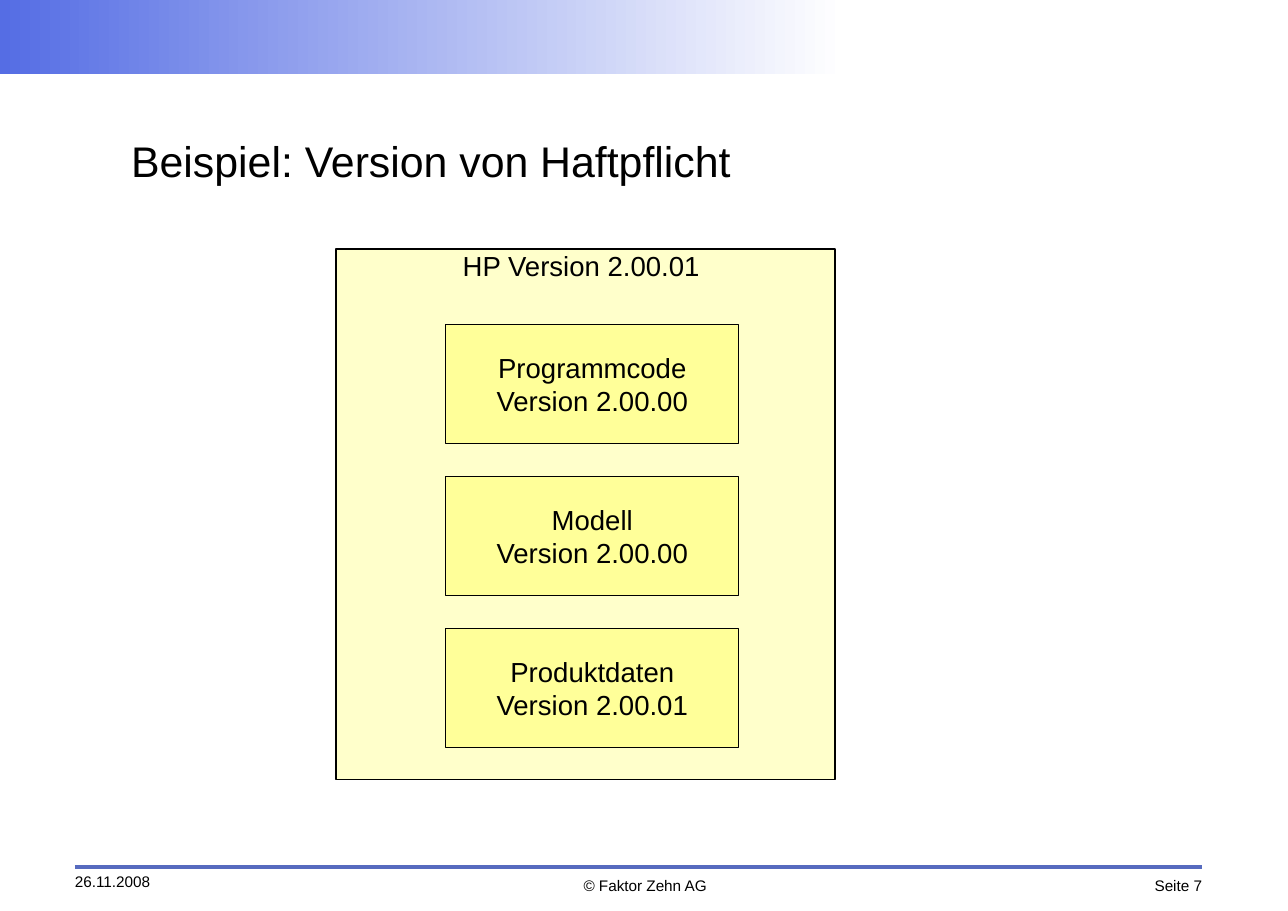
from dataclasses import dataclass

from lxml.etree import SubElement
from pptx import Presentation
from pptx.dml.color import RGBColor
from pptx.enum.shapes import MSO_CONNECTOR, MSO_SHAPE
from pptx.enum.text import MSO_ANCHOR, PP_ALIGN
from pptx.oxml.ns import qn
from pptx.util import Inches, Pt


@dataclass(frozen=True)
class Theme:
    font: str = "Arial"
    black: str = "000000"
    white: str = "FFFFFF"
    yellow: str = "FFFF99"
    band: str = "556DE4"
    rule: str = "576BBF"
    title: int = 28
    body: int = 18
    small: int = 10


T = Theme()
W, H = 11.69, 8.27


def rgb(value):
    return RGBColor.from_string(value)


def write(sp, lines, size, align=PP_ALIGN.LEFT, anchor=MSO_ANCHOR.TOP, right=0):
    tf = sp.text_frame
    tf.word_wrap = True
    tf.vertical_anchor = anchor
    tf.margin_left = tf.margin_top = tf.margin_bottom = 0
    tf.margin_right = Inches(right)
    for i, line in enumerate(lines):
        p = tf.add_paragraph() if i else tf.paragraphs[0]
        p.alignment = align
        r = p.add_run()
        r.text = line
        r.font.name, r.font.size = T.font, Pt(size)
        r.font.color.rgb = rgb(T.black)


def add_text(s, box, line, size, **layout):
    sp = s.shapes.add_textbox(*map(Inches, box))
    write(sp, [line], size, **layout)


def add_rect(s, box):
    sp = s.shapes.add_shape(MSO_SHAPE.RECTANGLE, *map(Inches, box))
    sp.shadow.inherit = False
    return sp


def add_block(s, box, opacity=100):
    sp = add_rect(s, box)
    sp.fill.solid()
    sp.fill.fore_color.rgb = rgb(T.yellow)
    if opacity < 100:
        color = sp.fill._xPr.find(qn("a:solidFill"))[0]
        SubElement(color, qn("a:alpha"), val=str(opacity * 1000))
    sp.line.color.rgb = rgb(T.black)
    sp.line.width = Pt(0)
    return sp


def add_header(s, box):
    x, y, w, h = box
    # Fading band
    sp = add_rect(s, (x, y, w * 0.656, h * 0.34))
    sp.line.fill.background()
    sp.fill.gradient()
    sp.fill.gradient_angle = 0
    for stop, color in zip(sp.fill.gradient_stops, (T.band, T.white)):
        stop.color.rgb = rgb(color)
    # Title
    add_text(s, (x + 1.19, y + 0.95, 9.31, h - 0.95),
             "Beispiel: Version von Haftpflicht", T.title, anchor=MSO_ANCHOR.MIDDLE)


def add_footer(s, box):
    x, y, w, h = box
    # Rule
    line = s.shapes.add_connector(
        MSO_CONNECTOR.STRAIGHT, *map(Inches, (x, y, x + w, y)))
    line.line.color.rgb = rgb(T.rule)
    line.line.width = Pt(2.83)
    SubElement(line._element.spPr, qn("a:effectLst"))
    # Date, copyright and page number
    third = w / 3
    for col, text, align, drop in (
            (0, "26.11.2008", PP_ALIGN.LEFT, 0.05),
            (1, "© Faktor Zehn AG", PP_ALIGN.CENTER, 0.08),
            (2, "Seite 7", PP_ALIGN.RIGHT, 0.08)):
        # The copyright stands slightly right of the middle
        shift = 0.06 if col == 1 else 0
        add_text(s, (x + col * third + shift, y + drop, third, h - drop),
                 text, T.small, align=align)


def add_version(s, box, name, parts):
    x, y, w, h = box
    # Enclosing product version
    write(add_block(s, box, opacity=50), [name], T.body,
          align=PP_ALIGN.CENTER, right=0.08)
    # Parts start on every second row
    row = h / (2 * len(parts) + 1)
    for i, part in enumerate(parts):
        sp = add_block(s, (x + w * 0.22, y + (2 * i + 1) * row, w * 0.587, row * 1.57))
        write(sp, part, T.body, align=PP_ALIGN.CENTER, anchor=MSO_ANCHOR.MIDDLE)


def main():
    prs = Presentation()
    prs.slide_width, prs.slide_height = Inches(W), Inches(H)
    s = prs.slides.add_slide(prs.slide_layouts[6])
    add_header(s, (0, 0, W, 1.97))
    add_version(s, (3.05, 2.26, 4.53, 4.82), "HP Version 2.00.01", [
        ("Programmcode", "Version 2.00.00"),
        ("Modell", "Version 2.00.00"),
        ("Produktdaten", "Version 2.00.01"),
    ])
    add_footer(s, (0.68, 7.87, 10.23, 0.28))
    prs.save("out.pptx")


if __name__ == "__main__":
    main()
